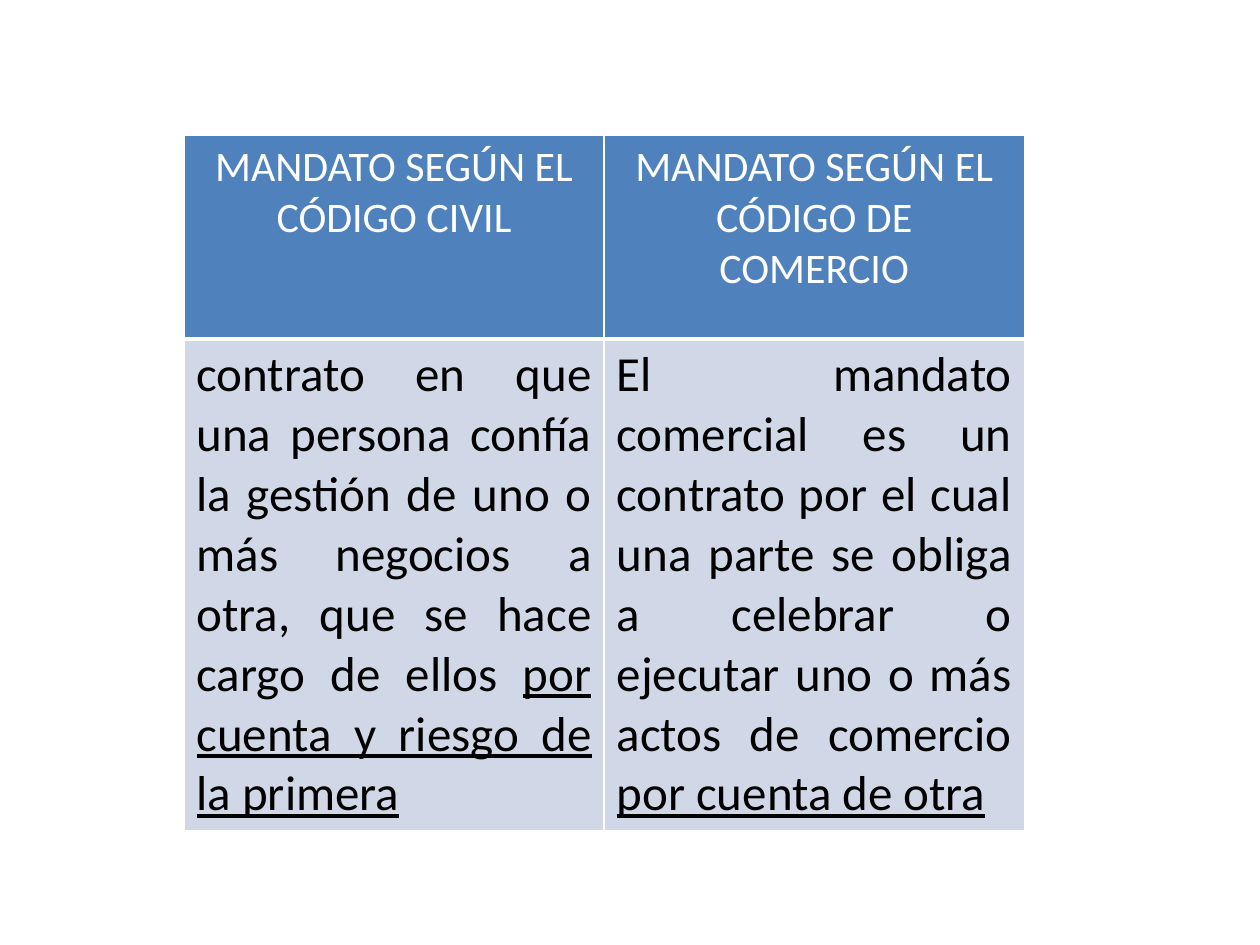
from lxml import etree
from pptx import Presentation, util as u
from pptx.dml.color import RGBColor
from pptx.enum import text
from pptx.oxml.ns import qn


def color(hex_code):
    return RGBColor.from_string(hex_code)


def add_borders(cell, widths):
    """Put white borders on a cell; widths gives points for each side."""
    properties = cell._tc.get_or_add_tcPr()
    for position, (side, points) in enumerate(widths.items()):
        line = etree.Element(qn(f"a:ln{side}"), w=str(u.Pt(points)))
        fill = etree.SubElement(line, qn("a:solidFill"))
        etree.SubElement(fill, qn("a:srgbClr"), val="FFFFFF")
        properties.insert(position, line)


prs = Presentation()
prs.slide_width, prs.slide_height = u.Inches(10), u.Inches(7.5)
slide = prs.slides.add_slide(prs.slide_layouts[6])

# Each cell is a list of (text, underlined) runs
headings = [
    [("MANDATO SEGÚN EL CÓDIGO CIVIL", False)],
    [("MANDATO SEGÚN EL CÓDIGO DE COMERCIO", False)],
]
definitions = [
    [("contrato en que una persona confía la gestión de uno o más negocios "
      "a otra, que se hace cargo de ellos ", False),
     ("por cuenta y riesgo de la primera", True)],
    [("El mandato comercial es un contrato por el cual una parte se obliga "
      "a celebrar o ejecutar uno o más actos de comercio ", False),
     ("por cuenta de otra", True)],
]

# Row content, height, fill, font size, font colour, alignment, lower border
rows = [
    (headings, 1.62, "4F81BD", 24, "FFFFFF", text.PP_ALIGN.CENTER, 3),
    (definitions, 3.9, "D0D8E8", 28, "000000", text.PP_ALIGN.JUSTIFY, 1),
]

# Comparison table
comparison = slide.shapes.add_table(
    2, 2, u.Inches(1.46), u.Inches(1.07), u.Inches(6.67), u.Inches(5.52)
).table

top_border = 1
for r, (contents, height, fill, size, ink, align, bottom_border) in enumerate(rows):
    comparison.rows[r].height = u.Inches(height)
    for c, runs in enumerate(contents):
        cell = comparison.cell(r, c)
        cell.fill.solid()
        cell.fill.fore_color.rgb = color(fill)
        add_borders(cell, {"L": 1, "R": 1, "T": top_border, "B": bottom_border})

        paragraph = cell.text_frame.paragraphs[0]
        paragraph.alignment = align
        for words, underlined in runs:
            run = paragraph.add_run()
            run.text = words
            run.font.name = "Calibri"
            run.font.size = u.Pt(size)
            run.font.bold = False
            run.font.underline = underlined
            run.font.color.rgb = color(ink)
    top_border = bottom_border

prs.save("out.pptx")
